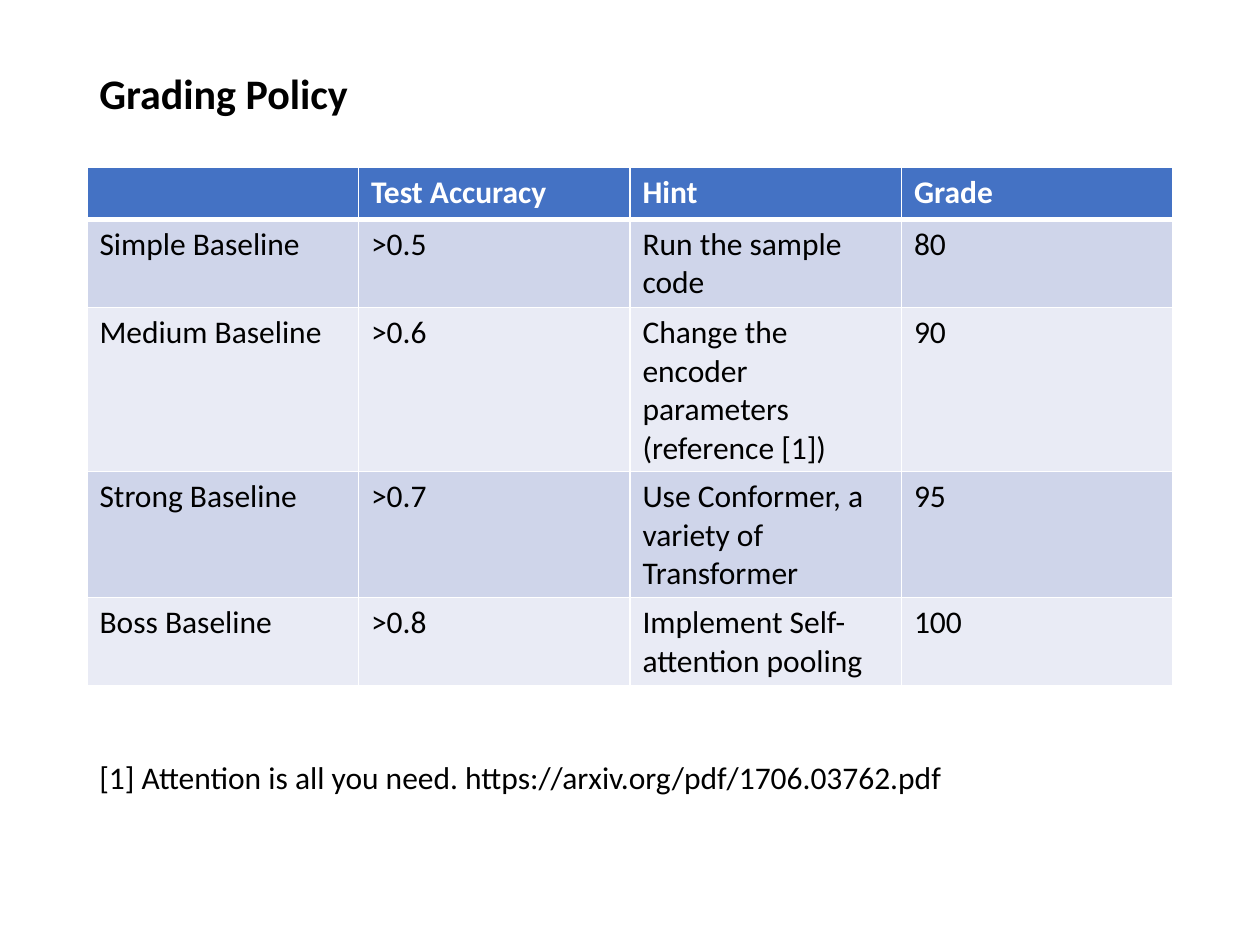
import pptx
import pptx.util
import pptx.dml.color
import pptx.enum.text
import pptx.oxml.ns
from lxml import etree

Inches, Pt = pptx.util.Inches, pptx.util.Pt

# Content
TITLE = "Grading Policy"
GRADES = [
    ("", "Test Accuracy", "Hint", "Grade"),
    ("Simple Baseline", ">0.5", "Run the sample code", "80"),
    ("Medium Baseline", ">0.6", "Change the encoder parameters (reference [1])", "90"),
    ("Strong Baseline", ">0.7", "Use Conformer, a variety of Transformer", "95"),
    ("Boss Baseline", ">0.8", "Implement Self-attention pooling", "100"),
]
REFERENCE = "[1] Attention is all you need. https://arxiv.org/pdf/1706.03762.pdf"

# Style
COLORS = {"text": "000000", "header_text": "FFFFFF", "border": "FFFFFF",
          "header": "4472C4", "odd": "CFD5EA", "even": "E9EBF5"}
LEFT, WIDTH, ROW_HEIGHT = 0.69, 8.62, 0.41


def rgb(name):
    return pptx.dml.color.RGBColor.from_string(COLORS[name])


def style(paragraph, size, color="text", bold=False):
    font = paragraph.font
    font.name, font.size, font.bold = "Calibri", Pt(size), bold
    font.color.rgb = rgb(color)


def add_text(slide, text, top, width, height, size, bold=False, wrap=True):
    box = slide.shapes.add_textbox(Inches(LEFT), Inches(top), Inches(width), Inches(height))
    frame = box.text_frame
    frame.word_wrap = wrap
    paragraph = frame.paragraphs[0]
    paragraph.text = text
    style(paragraph, size, bold=bold)
    return frame


def add_borders(cell, widths):
    properties = cell._tc.get_or_add_tcPr()
    qn = pptx.oxml.ns.qn
    for side, width in widths.items():
        line = etree.SubElement(properties, qn(f"a:ln{side}"), w=str(Pt(width)))
        fill = etree.SubElement(line, qn("a:solidFill"))
        etree.SubElement(fill, qn("a:srgbClr"), val=COLORS["border"])


def add_grades(slide):
    rows, columns = len(GRADES), len(GRADES[0])
    table = slide.shapes.add_table(rows, columns, Inches(LEFT), Inches(1.33),
                                   Inches(WIDTH), Inches(ROW_HEIGHT * rows)).table
    for r, texts in enumerate(GRADES):
        header = r == 0
        band = "header" if header else "odd" if r % 2 else "even"
        for c, text in enumerate(texts):
            cell = table.cell(r, c)
            cell.text = text
            style(cell.text_frame.paragraphs[0], 18,
                  "header_text" if header else "text", header)
            # The rule under the header is shared by the first two rows
            add_borders(cell, {"L": 1, "R": 1, "T": 3 if r == 1 else 1,
                               "B": 3 if header else 1})
            cell.fill.solid()
            cell.fill.fore_color.rgb = rgb(band)


def main():
    deck = pptx.Presentation()
    deck.slide_width, deck.slide_height = Inches(10), Inches(7.5)
    slide = deck.slides.add_slide(deck.slide_layouts[6])

    # Title
    title = add_text(slide, TITLE, 0.4, WIDTH, 0.72, 24, bold=True)
    title.vertical_anchor = pptx.enum.text.MSO_ANCHOR.MIDDLE
    title.paragraphs[0].line_spacing = 0.9

    # Grading table
    add_grades(slide)

    # Reference
    reference = add_text(slide, REFERENCE, 5.97, 6.97, 0.4, 18, wrap=False)
    reference.auto_size = pptx.enum.text.MSO_AUTO_SIZE.SHAPE_TO_FIT_TEXT

    deck.save("out.pptx")


if __name__ == "__main__":
    main()
